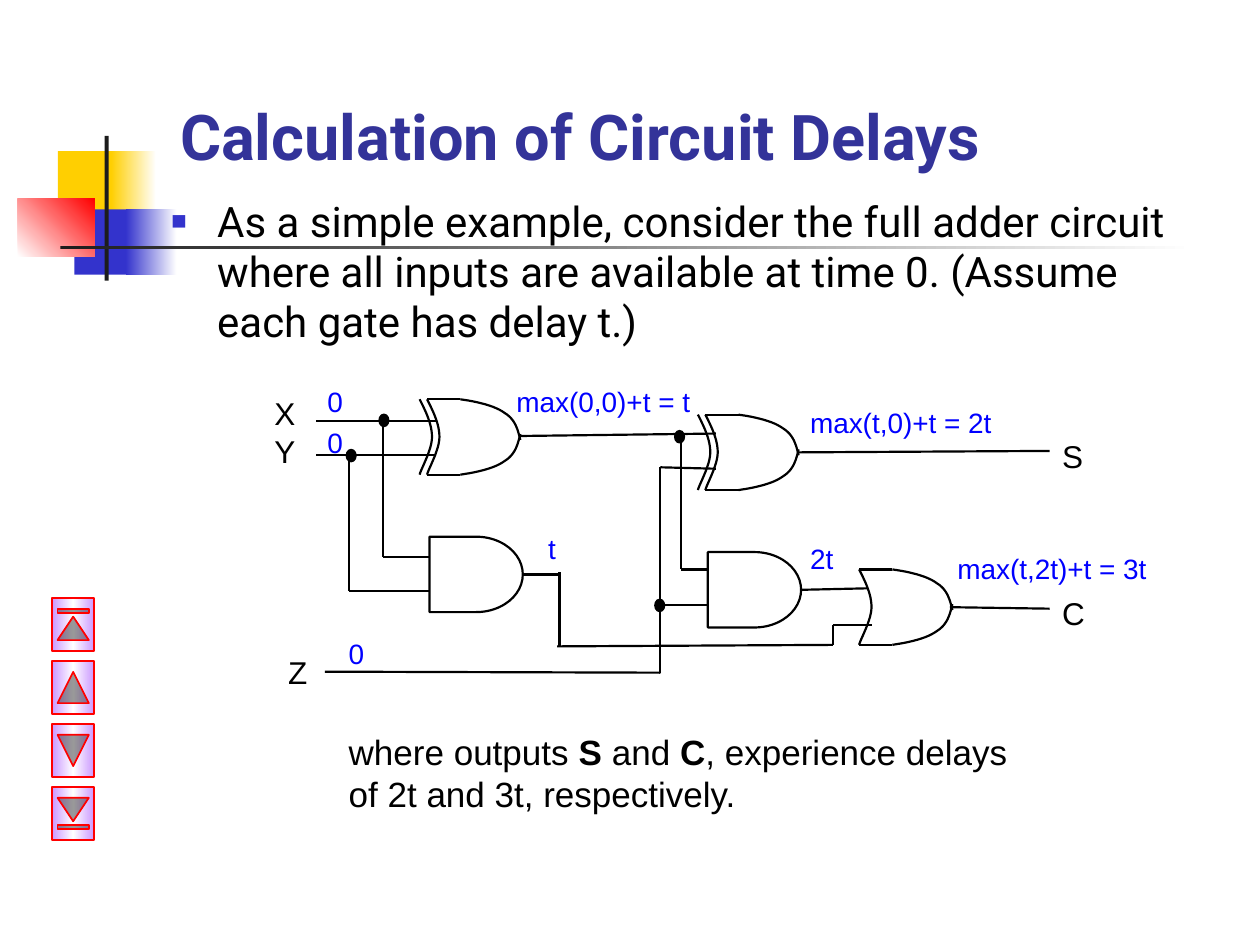
from copy import deepcopy

from lxml import etree
from pptx import Presentation
from pptx.dml.color import RGBColor
from pptx.enum.shapes import MSO_CONNECTOR, MSO_SHAPE as SHAPE
from pptx.enum.text import MSO_ANCHOR as ANCHOR
from pptx.oxml.ns import qn
from pptx.util import Cm, Pt

BLACK = RGBColor(0x00, 0x00, 0x00)
WHITE = RGBColor(0xFF, 0xFF, 0xFF)
YELLOW = RGBColor(0xFF, 0xCF, 0x01)
INDIGO = RGBColor(0x33, 0x33, 0xCC)
NAVY = RGBColor(0x33, 0x33, 0x99)
RED = RGBColor(0xFF, 0x00, 0x00)
CHARCOAL = RGBColor(0x1C, 0x1C, 0x1C)
LILAC = RGBColor(0xCC, 0x99, 0xFF)
BLUE = RGBColor(0x00, 0x00, 0xFF)

prs = Presentation()
prs.slide_width, prs.slide_height = Cm(25.4), Cm(19.05)
s = prs.slides.add_slide(prs.slide_layouts[6])
shapes = s.shapes


def add_text(box, paragraphs, **font):
    """Add a text box; each paragraph is a list of (text, bold) runs."""
    tf = shapes.add_textbox(*map(Cm, box)).text_frame
    tf.word_wrap = True
    for i, runs in enumerate(paragraphs):
        p = tf.add_paragraph() if i else tf.paragraphs[0]
        for text, bold in runs:
            r = p.add_run()
            r.text = text
            r.font.bold = bold
            r.font.color.rgb = font["color"]
            r.font.name, r.font.size = font["name"], Pt(font["size"])
    return tf


def set_gradient(sp, colors, angle):
    """Spread the colours evenly; the angle runs counterclockwise."""
    sp.fill.gradient()
    sp.fill.gradient_angle = angle
    stop_list = sp._element.spPr.find(qn("a:gradFill")).find(qn("a:gsLst"))
    while len(stop_list) < len(colors):
        stop_list.append(deepcopy(stop_list[-1]))
    for i, (stop, color) in enumerate(zip(sp.fill.gradient_stops, colors)):
        stop.color.rgb = color
        stop.position = i / (len(colors) - 1)


# Corner ornament and title rule
ornament = [
    ((1.17, 3.05, 1.22, 1.32), [YELLOW], 0),
    ((2.24, 3.05, 0.91, 1.32), [YELLOW, WHITE], 0),
    ((1.5, 4.22, 1.17, 1.32), [INDIGO], 0),
    ((2.54, 4.22, 1.02, 1.32), [INDIGO, WHITE], 0),
    ((0.36, 4.01, 1.55, 1.17), [WHITE, RED], 45),
    ((2.11, 2.74, 0.08, 2.92), [CHARCOAL], 0),
    ((1.22, 4.95, 22.86, 0.08), [CHARCOAL, WHITE], 0),
]
for box, colors, angle in ornament:
    sp = shapes.add_shape(SHAPE.RECTANGLE, *map(Cm, box))
    sp.shadow.inherit = False
    sp.line.fill.background()
    if len(colors) > 1:
        set_gradient(sp, colors, angle)
    else:
        sp.fill.solid()
        sp.fill.fore_color.rgb = colors[0]

# Title, body and closing note
tf = add_text((3.38, 0.43, 21.59, 3.18), [[("Calculation of Circuit Delays", True)]],
              name="Roboto", size=36, color=NAVY)
tf.vertical_anchor = ANCHOR.BOTTOM

tf = add_text((3.18, 3.81, 21.59, 3.61),
              [[("As a simple example, consider the full adder circuit where all inputs "
                 "are available at time 0. (Assume each gate has delay t.)", False)]],
              name="Roboto", size=24, color=BLACK)
pPr = tf.paragraphs[0]._p.get_or_add_pPr()
pPr.set("marL", str(Cm(0.95)))
pPr.set("indent", str(-Cm(0.95)))
bullet_color = etree.SubElement(pPr, qn("a:buClr"))
etree.SubElement(bullet_color, qn("a:srgbClr"), val=str(INDIGO))
etree.SubElement(pPr, qn("a:buSzPct"), val="120000")
etree.SubElement(pPr, qn("a:buFont"), typeface="Arial")
etree.SubElement(pPr, qn("a:buChar"), char="▪")

add_text((6.78, 14.61, 14.4, 2.34),
         [[("where outputs ", False), ("S", True), (" and ", False), ("C", True),
           (", experience delays of 2t and 3t, respectively.", False)]],
         name="Arial", size=20, color=BLACK)

# AND gates
strokes = []
and_gates = []
for x, y in [(8.66, 10.82), (14.27, 11.13)]:
    sp = shapes.add_shape(SHAPE.FLOWCHART_DELAY, Cm(x), Cm(y), Cm(1.88), Cm(1.52))
    sp.shadow.inherit = False
    sp.fill.background()
    and_gates.append(sp)
    strokes.append(sp)

# Wires as (x1, y1, x2, y2, gate whose output starts the wire)
wires = [
    (6.38, 8.48, 8.79, 8.48, None),
    (6.38, 9.17, 8.79, 9.17, None),
    (10.49, 8.79, 14.43, 8.74, None),
    (7.72, 11.23, 8.66, 11.23, None),
    (7.72, 8.48, 7.72, 11.23, None),
    (7.04, 9.17, 7.04, 11.91, None),
    (7.04, 11.91, 8.66, 11.91, None),
    (10.54, 11.58, 11.3, 11.58, and_gates[0]),
    (13.31, 9.42, 14.43, 9.45, None),
    (16.1, 9.12, 21.16, 9.09, None),
    (13.72, 11.48, 14.25, 11.48, None),
    (13.72, 8.74, 13.72, 11.48, None),
    (13.31, 9.42, 13.31, 13.56, None),
    (11.23, 13.03, 16.79, 13, None),
    (16.15, 11.89, 17.48, 11.86, and_gates[1]),
    (6.55, 13.54, 13.31, 13.56, None),
    (13.31, 12.19, 14.3, 12.19, None),
    (11.28, 13.03, 11.28, 11.53, None),
    (16.79, 12.6, 17.58, 12.6, None),
    (16.79, 13, 16.79, 12.6, None),
    (19.15, 12.24, 21.16, 12.27, None),
]

# XOR and OR gates, each outlined by Bezier curves and two straight edges
GATE_H = 1.52
back = [(0, 0), (0.13, 0.25), (0.25, 0.51), (0.25, 0.76),
        (0.25, 1.02), (0.03, 1.4), (0, GATE_H)]
upper = [(0.67, 0), (1.02, 0.05), (1.37, 0.13), (1.57, 0.28),
         (1.78, 0.41), (1.83, 0.61), (1.88, 0.82)]
lower = [(x, GATE_H - y) for x, y in upper]
extra_back = [(x - 0.15, y) for x, y in back]
STEPS = 12

for left, top, is_xor in [(8.61, 8.05, True), (14.22, 8.36, True), (17.32, 11.48, False)]:
    for curve in [back, upper, lower] + [extra_back] * is_xor:
        points = []
        for k in (0, 3):
            for i in range(STEPS + 1):
                t = i / STEPS
                weights = ((1 - t) ** 3, 3 * t * (1 - t) ** 2, 3 * t * t * (1 - t), t ** 3)
                x, y = (sum(w * pt[axis] for w, pt in zip(weights, curve[k:k + 4]))
                        for axis in (0, 1))
                points.append((Cm(left + x), Cm(top + y)))
        builder = shapes.build_freeform(*points[0])
        builder.add_line_segments(points[1:], close=False)
        sp = builder.convert_to_shape()
        sp.shadow.inherit = False
        sp.fill.background()
        strokes.append(sp)
    for y in (top, top + GATE_H):
        wires.append((left, y, left + 0.67, y, None))

for *ends, gate in wires:
    wire = shapes.add_connector(MSO_CONNECTOR.STRAIGHT, *map(Cm, ends))
    if gate is not None:
        wire.begin_connect(gate, 3)
    etree.SubElement(wire._element.spPr, qn("a:effectLst"))
    strokes.append(wire)

# Junction dots
for x, y in [(6.99, 9.07), (7.65, 8.36), (13.21, 12.09), (13.61, 8.69)]:
    dot = shapes.add_shape(SHAPE.OVAL, Cm(x), Cm(y), Cm(0.18), Cm(0.23))
    dot.shadow.inherit = False
    dot.fill.solid()
    dot.fill.fore_color.rgb = BLACK
    strokes.append(dot)

for sp in strokes:
    sp.line.color.rgb = BLACK
    sp.line.width = Pt(1.25)

# Signal names, then arrival times
labels = {
    (18, BLACK): [(5.28, 7.82, 1.07, "X\nY"), (21.16, 8.69, 1.07, "S"),
                  (21.16, 11.86, 1.07, "C"), (5.56, 13.03, 1.07, "Z")],
    (16, BLUE): [(10.16, 7.62, 4.19, "max(0,0)+t = t"), (10.8, 10.59, 0.76, "t"),
                 (6.35, 8.46, 0.85, "0"), (6.35, 7.62, 0.85, "0"), (6.78, 12.7, 0.85, "0"),
                 (16.08, 8.05, 4.45, "max(t,0)+t = 2t"),
                 (19.05, 11, 4.45, "max(t,2t)+t = 3t"), (16.08, 10.8, 1.07, "2t")],
}
for (size, color), items in labels.items():
    for x, y, width, text in items:
        lines = text.split("\n")
        add_text((x, y, width, 0.97 if len(lines) == 1 else 1.52),
                 [[(line, False)] for line in lines], name="Arial", size=size, color=color)

# Navigation buttons, turned to point up and down
buttons = [SHAPE.ACTION_BUTTON_BEGINNING, SHAPE.ACTION_BUTTON_BACK_OR_PREVIOUS,
           SHAPE.ACTION_BUTTON_FORWARD_OR_NEXT, SHAPE.ACTION_BUTTON_END]
for i, kind in enumerate(buttons):
    sp = shapes.add_shape(kind, Cm(0.94), Cm(12.17 + 1.27 * i), Cm(1.07), Cm(0.84))
    sp.rotation = 90
    sp.shadow.inherit = False
    set_gradient(sp, [LILAC, WHITE, LILAC], 270)
    sp.line.color.rgb = RED
    sp.line.width = Pt(1)

prs.save("out.pptx")
